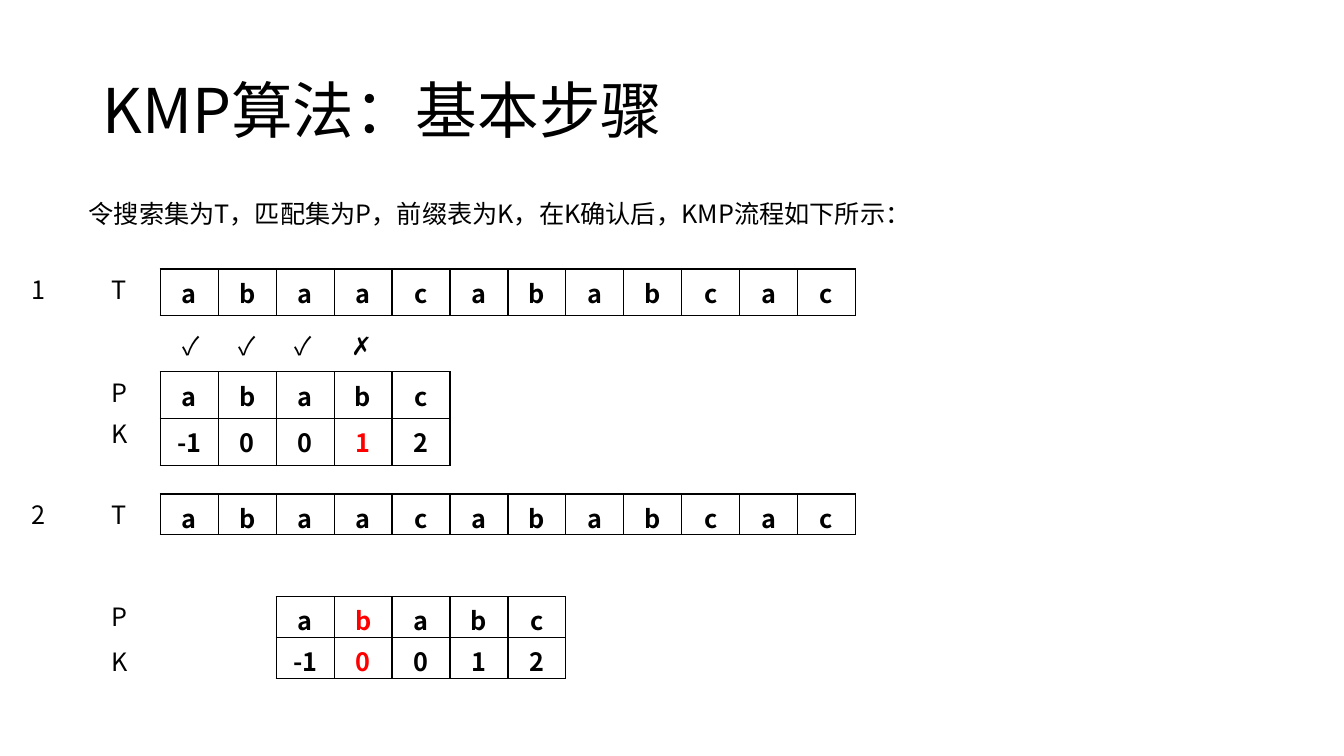
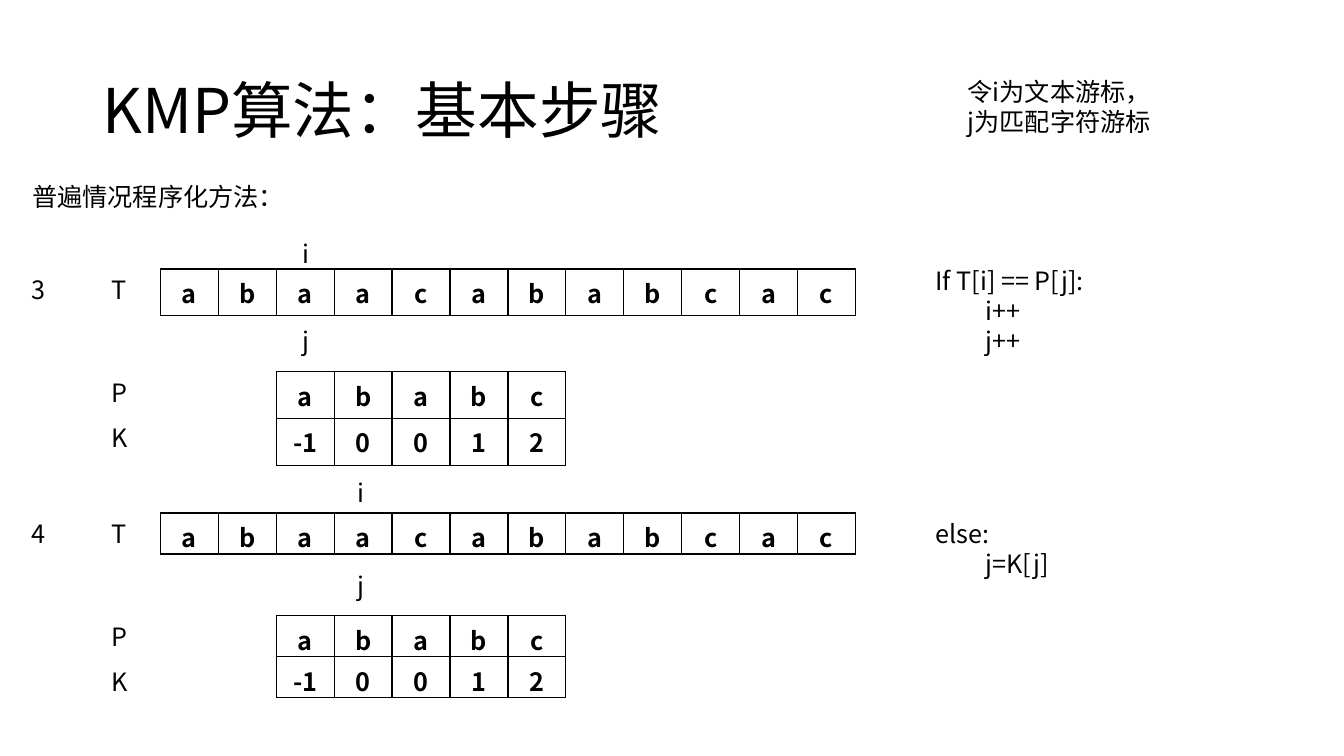
from lxml.etree import SubElement
from pptx import Presentation
from pptx.dml.color import RGBColor
from pptx.enum.text import MSO_ANCHOR, PP_ALIGN
from pptx.oxml.ns import qn
from pptx.util import Pt

FONT = "Noto Sans CJK SC"
BLACK, WHITE, RED = "000000", "FFFFFF", "FF0000"
TITLE = "KMP算法：基本步骤"
TEXT = "abaacababcac"
PATTERN = "ababc"
PREFIX = ["-1", "0", "0", "1", "2"]

CELL_WIDTH = 41.4
GRID_LEFT = 114.5
PATTERN_GAP = 73.4
TALL_ROW, SHORT_ROW = 33.4, 29.2


def color(value):
    return RGBColor.from_string(value)


class Slides:
    """Holds the shared style and the current slide."""

    def __init__(self):
        self.deck = Presentation()
        self.deck.slide_width, self.deck.slide_height = Pt(960), Pt(540)
        self.page = None

    def new_page(self):
        self.page = self.deck.slides.add_slide(self.deck.slide_layouts[6])
        box = self.text(TITLE, 66, 28.8, 828, 104.4, size=44)
        box.text_frame.vertical_anchor = MSO_ANCHOR.MIDDLE
        box.text_frame.paragraphs[0].line_spacing = 0.9

    def style(self, para, size=18, tint=BLACK, bold=False):
        font = para.font
        font.size, font.bold, font.name = Pt(size), bold, FONT
        font.color.rgb = color(tint)
        properties = para._p.pPr.find(qn("a:defRPr"))
        SubElement(properties, qn("a:ea"), typeface=FONT)

    def text(self, words, left, top, width, height=29, size=18, wrap=True):
        box = self.page.shapes.add_textbox(Pt(left), Pt(top), Pt(width), Pt(height))
        box.text_frame.word_wrap = wrap
        box.text_frame.text = words
        for para in box.text_frame.paragraphs:
            self.style(para, size)
        return box

    def label(self, words, left, top, width=24.5):
        self.text(words, left, top, width, wrap=False)

    def border(self, cell):
        properties = cell._tc.get_or_add_tcPr()
        for index, side in enumerate(("a:lnL", "a:lnR", "a:lnT", "a:lnB")):
            line = properties.makeelement(qn(side), {"w": str(Pt(1))})
            fill = SubElement(line, qn("a:solidFill"))
            SubElement(fill, qn("a:srgbClr"), val=BLACK)
            properties.insert(index, line)

    def grid(self, rows, left, top, row_height, red=()):
        columns = len(rows[0])
        table = self.page.shapes.add_table(
            len(rows), columns, Pt(left), Pt(top),
            Pt(columns * CELL_WIDTH), Pt(len(rows) * row_height)).table
        table.first_row = table.horz_banding = False
        for column in table.columns:
            column.width = Pt(CELL_WIDTH)
        for r, values in enumerate(rows):
            table.rows[r].height = Pt(row_height)
            for c, value in enumerate(values):
                cell = table.cell(r, c)
                cell.fill.solid()
                cell.fill.fore_color.rgb = color(WHITE)
                if row_height == SHORT_ROW:
                    cell.margin_bottom = 0
                self.border(cell)
                para = cell.text_frame.paragraphs[0]
                para.text = value
                para.alignment = PP_ALIGN.CENTER
                self.style(para, tint=RED if (r, c) in red else BLACK, bold=True)

    def step(self, number, top, row_height, shift, red=(), prefix_gap=105.6):
        """Draw the text row, and the pattern moved right by some cells."""
        self.grid([TEXT], GRID_LEFT, top, row_height)
        self.grid([PATTERN, PREFIX], GRID_LEFT + shift * CELL_WIDTH,
                  top + PATTERN_GAP, row_height, red)
        self.label(number, 15.8, top)
        for name, gap in (("T", 0), ("P", PATTERN_GAP), ("K", prefix_gap)):
            self.label(name, 72.7, top + gap)


def main():
    slides = Slides()

    # Steps 1 and 2: mismatch, then shift
    slides.new_page()
    slides.text("令搜索集为T，匹配集为P，前缀表为K，在K确认后，KMP流程如下所示：",
                56.2, 138.2, 599)
    slides.step("1", 192.2, TALL_ROW, 0, red=[(1, 3)], prefix_gap=103)
    for index, mark in enumerate("✓✓✓✗"):
        slides.label(mark, 123.1 + 40.2 * index, 232.6, 28)
    slides.step("2", 352.8, SHORT_ROW, 2, red=[(0, 1), (1, 1)])

    # Steps 3 and 4: cursors and code
    slides.new_page()
    slides.text("普遍情况程序化方法：", 15.8, 126, 289.4)
    slides.text("令i为文本游标，\nj为匹配字符游标", 684, 51.1, 220.3, 51)
    slides.step("3", 192.2, TALL_ROW, 2)
    slides.step("4", 366.5, SHORT_ROW, 2)
    for cursor, left, top in (("i", 208.8, 167), ("j", 208.8, 229),
                              ("i", 248.4, 337.7), ("j", 248.4, 403.9)):
        slides.text(cursor, left, top, 20)
    slides.text("If T[i] == P[j]:\n\ti++\n\tj++", 661, 185.8, 226, 72.7)
    slides.text("else:\n\tj=K[j]", 661, 366.5, 226, 51)

    slides.deck.save("out.pptx")


if __name__ == "__main__":
    main()
